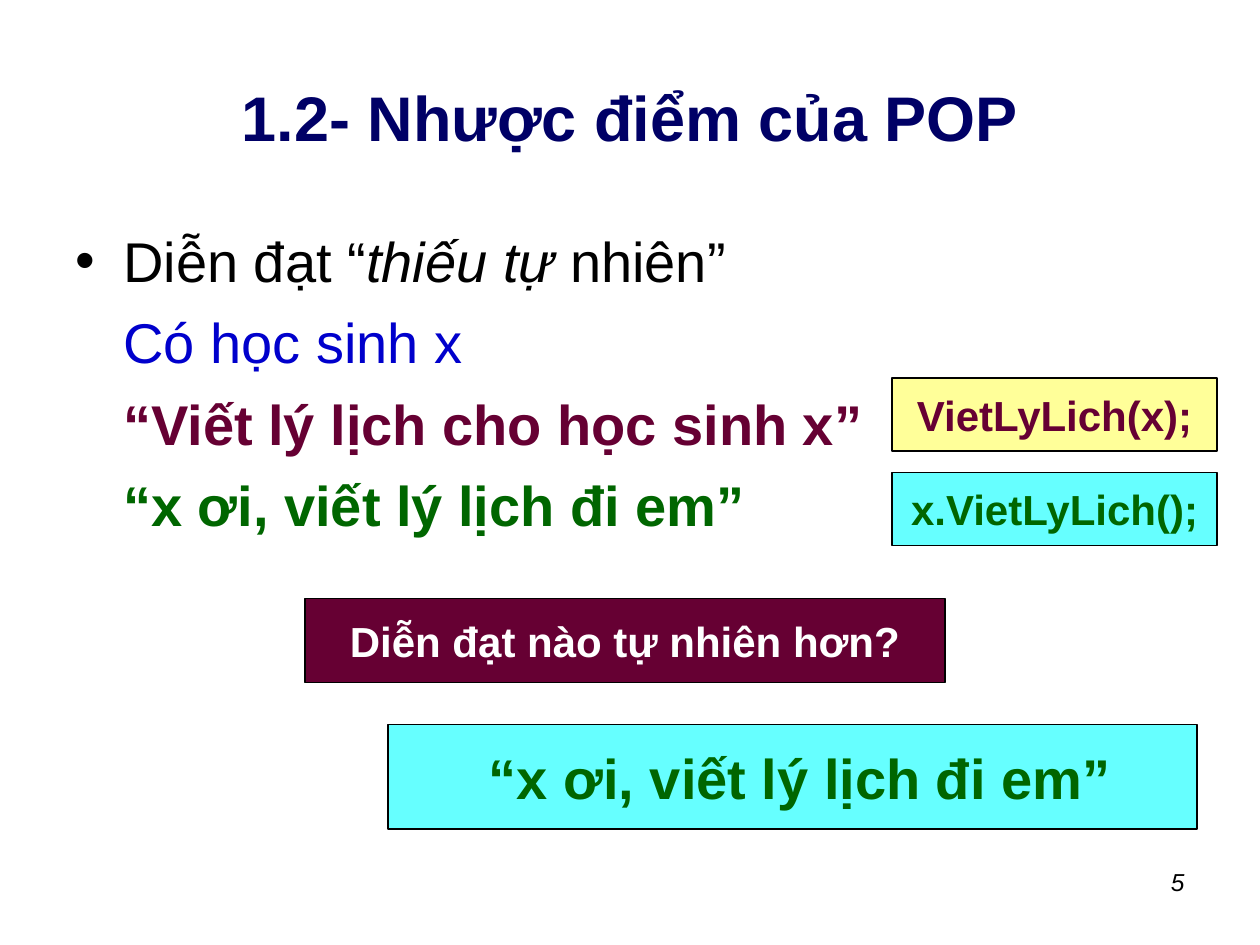
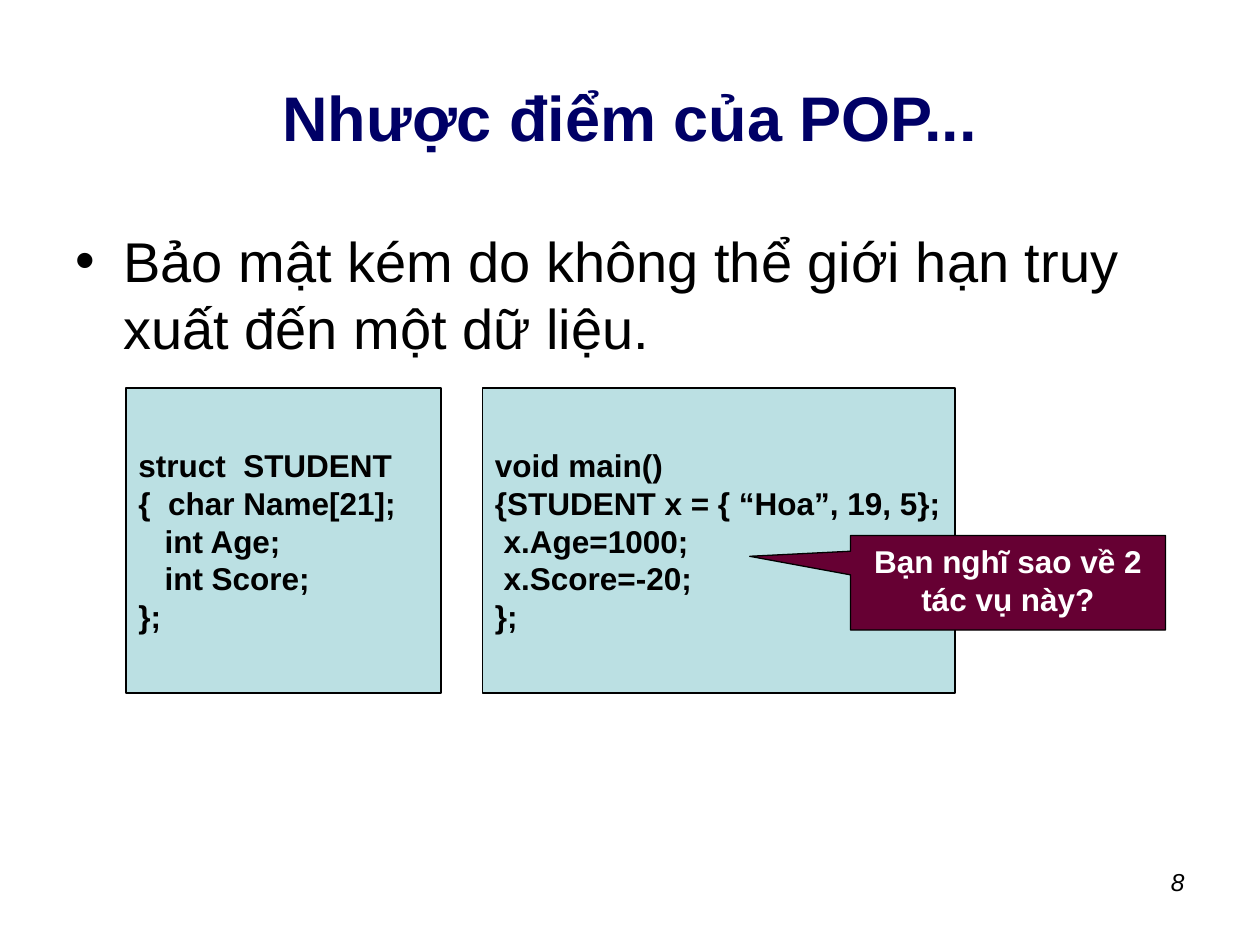
from dataclasses import dataclass

from lxml.etree import SubElement
from pptx import Presentation
from pptx.dml.color import RGBColor as RGB
from pptx.enum.shapes import MSO_SHAPE as SHAPE
from pptx.enum.text import MSO_ANCHOR as ANCHOR, MSO_AUTO_SIZE as AUTO, PP_ALIGN as ALIGN
from pptx.oxml.ns import qn
from pptx.util import Inches, Pt


@dataclass(frozen=True)
class Theme:
    font: str = "Arial"
    navy: str = "000066"
    blue: str = "0000CC"
    maroon: str = "660033"
    green: str = "006600"
    cyan: str = "66FFFF"
    yellow: str = "FFFF99"
    pale: str = "BBE0E3"
    black: str = "000000"
    white: str = "FFFFFF"
    title: int = 36
    body: int = 32
    label: int = 24
    code: int = 18
    footer: int = 14
    border: float = 0.75
    gap: int = 8
    hang: float = 0.38


@dataclass(frozen=True)
class Box:
    x: float
    y: float
    w: float
    h: float

    def inner(self, dx, dy, w, h):
        return Box(self.x + dx, self.y + dy, w, h)

    def lengths(self):
        return [Inches(v) for v in (self.x, self.y, self.w, self.h)]


T = Theme()
TITLE = Box(0.5, 0.3, 9, 1.25)
BODY = Box(0.5, 1.75, 9, 2.67)
NUMBER = Box(7.17, 6.83, 2.33, 0.52)


def write(tf, paragraphs, size=T.body, color=T.black, bold=False, italic=False,
          align=ALIGN.LEFT, anchor=ANCHOR.TOP, wrap=True, gap=0, left=0.1):
    tf.auto_size = AUTO.NONE
    tf.word_wrap = wrap
    tf.vertical_anchor = anchor
    tf.margin_left, tf.margin_right = Inches(left), Inches(0.1)
    tf.margin_top = tf.margin_bottom = Inches(0.05)
    if isinstance(paragraphs, str):
        paragraphs = [paragraphs]
    for i, runs in enumerate(paragraphs):
        p = tf.add_paragraph() if i else tf.paragraphs[0]
        p.alignment = align
        p.space_before = Pt(gap if i else 0)
        for text, change in [(runs, {})] if isinstance(runs, str) else runs:
            r = p.add_run()
            r.text = text
            r.font.name = T.font
            r.font.size = Pt(size)
            r.font.bold = change.get("bold", bold)
            r.font.italic = change.get("italic", italic)
            r.font.color.rgb = RGB.from_string(change.get("color", color))


def add_box(slide, box, paragraphs, fill, shape=SHAPE.RECTANGLE, **fmt):
    s = slide.shapes.add_shape(shape, *box.lengths())
    s.shadow.inherit = False
    s.fill.solid()
    s.fill.fore_color.rgb = RGB.from_string(fill)
    s.line.color.rgb = RGB.from_string(T.black)
    s.line.width = Pt(T.border)
    write(s.text_frame, paragraphs, **fmt)
    return s


def add_label(slide, box, text, fill, color, **fmt):
    style = dict(size=T.label, bold=True, align=ALIGN.CENTER, anchor=ANCHOR.MIDDLE, wrap=False)
    return add_box(slide, box, text, fill, color=color, **(style | fmt))


def add_body(slide, box, paragraphs):
    tf = slide.shapes.add_textbox(*box.lengths()).text_frame
    write(tf, paragraphs, gap=T.gap)
    for i, p in enumerate(tf.paragraphs):
        pPr = p._p.get_or_add_pPr()
        pPr.set("marL", str(Inches(T.hang)))
        pPr.set("indent", str(0 if i else -Inches(T.hang)))
        if i == 0:
            SubElement(pPr, qn("a:buFont"), typeface=T.font)
            SubElement(pPr, qn("a:buChar"), char="•")


def add_slide(prs, title, number):
    slide = prs.slides.add_slide(prs.slide_layouts[5])
    s = slide.shapes.title
    s.left, s.top, s.width, s.height = TITLE.lengths()
    write(s.text_frame, title, size=T.title, color=T.navy, bold=True,
          align=ALIGN.CENTER, anchor=ANCHOR.MIDDLE)
    tf = slide.shapes.add_textbox(*NUMBER.lengths()).text_frame
    write(tf, str(number), size=T.footer, italic=True, align=ALIGN.RIGHT)
    return slide


def add_calls(slide, box):
    calls = [("VietLyLich(x);", T.yellow, T.maroon), ("x.VietLyLich();", T.cyan, T.green)]
    height = 0.58
    step = box.h - height
    for i, (text, fill, color) in enumerate(calls):
        add_label(slide, box.inner(0, i * step, box.w, height), text, fill, color)


def add_question(slide, box, answer):
    add_label(slide, box.inner(0, 0, 5.08, 0.67), "Diễn đạt nào tự nhiên hơn?", T.maroon, T.white)
    add_label(slide, box.inner(0.66, 1, 6.42, 0.83), answer, T.cyan, T.green,
              size=T.body, left=0.22)


def add_code(slide, box):
    struct = ["struct  STUDENT", "{  char Name[21];", "   int Age;", "   int Score;", "};"]
    main_code = ["void main()", "{STUDENT x = { “Hoa”, 19, 5};", " x.Age=1000;",
                 " x.Score=-20;", "};"]
    for dx, width, lines in [(0, 2.5, struct), (2.83, 3.75, main_code)]:
        add_box(slide, box.inner(dx, 0, width, box.h), lines, T.pale,
                size=T.code, bold=True, anchor=ANCHOR.MIDDLE, wrap=False)
    callout = add_label(slide, box.inner(5.75, 1.17, 2.5, 0.75), "Bạn nghĩ sao về 2 tác vụ này?",
                        T.maroon, T.white, shape=SHAPE.RECTANGULAR_CALLOUT,
                        size=T.code, anchor=ANCHOR.TOP, wrap=True)
    callout.adjustments[0] = -0.82
    callout.adjustments[1] = -0.28


def build_expression_slide(prs):
    slide = add_slide(prs, "1.2- Nhược điểm của POP", 5)
    answer = "“x ơi, viết lý lịch đi em”"
    add_body(slide, BODY, [
        [("Diễn đạt “", {}), ("thiếu tự ", {"italic": True}), ("nhiên”", {})],
        [("Có học sinh x", {"color": T.blue})],
        [("“Viết lý lịch cho học sinh x”", {"color": T.maroon, "bold": True})],
        [(answer, {"color": T.green, "bold": True})],
    ])
    add_question(slide, Box(2.42, 4.75, 7.08, 1.83), answer)
    add_calls(slide, Box(7.08, 3, 2.58, 1.33))


def build_security_slide(prs):
    slide = add_slide(prs, "Nhược điểm của POP...", 8)
    add_body(slide, BODY.inner(0, 0, 8.92, 1.25),
             "Bảo mật kém do không thể giới hạn truy xuất đến một dữ liệu.")
    add_code(slide, Box(1, 3.08, 8.25, 2.42))


def main():
    prs = Presentation()
    prs.slide_width, prs.slide_height = Inches(10), Inches(7.5)
    build_expression_slide(prs)
    build_security_slide(prs)
    prs.save("out.pptx")


if __name__ == "__main__":
    main()
